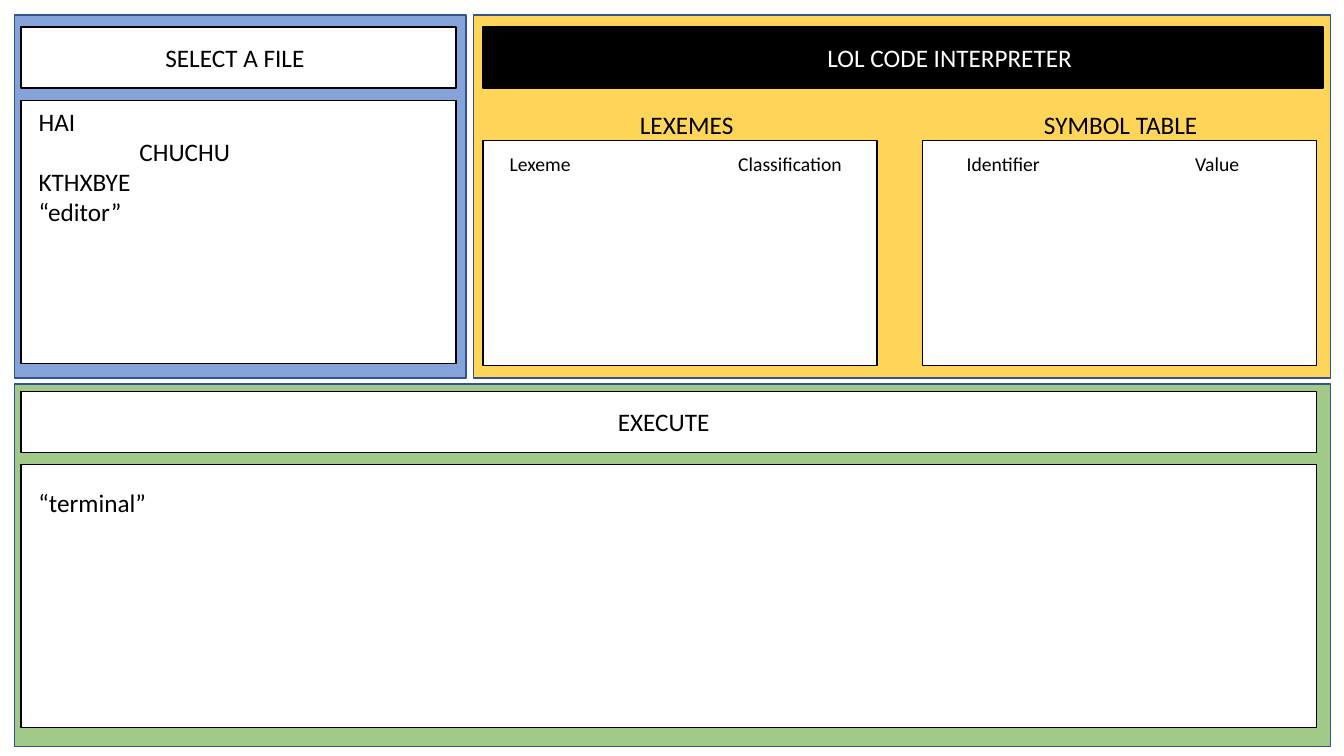
from lxml import etree
from pptx import Presentation
from pptx import util as u
from pptx.dml.color import RGBColor
from pptx.enum import shapes, text
from pptx.oxml import ns

BLACK = RGBColor(0x00, 0x00, 0x00)
WHITE = RGBColor(0xFF, 0xFF, 0xFF)
BLUE = RGBColor(0x44, 0x72, 0xC4)
GOLD = RGBColor(0xFF, 0xC0, 0x00)
GREEN = RGBColor(0x70, 0xAD, 0x47)
NAVY = RGBColor(0x32, 0x54, 0x91)


class Mockup:
    """Holds the slide, its grid of 160 columns by 90 rows and the text style."""

    font = "Calibri"
    columns, rows = 160, 90

    def __init__(self, deck):
        """Add a title-and-content slide to the deck."""
        self.slide = deck.slides.add_slide(deck.slide_layouts[1])
        self.column = deck.slide_width / self.columns
        self.row = deck.slide_height / self.rows

    def area(self, left, top, width, height):
        """Turn grid columns and rows into slide lengths."""
        return [u.Emu(round(count * unit)) for count, unit in
                zip((left, top, width, height), (self.column, self.row) * 2)]

    def box(self, place, fill=WHITE, line=BLACK, opacity=100):
        """Draw an outlined rectangle, see-through below 100 percent opacity."""
        rect = self.slide.shapes.add_shape(
            shapes.MSO_SHAPE.RECTANGLE, *self.area(*place))
        rect.shadow.inherit = False
        rect.fill.solid()
        rect.fill.fore_color.rgb = fill
        rect.line.color.rgb = line
        rect.line.width = u.Pt(1)
        if opacity < 100:
            color = rect._element.spPr.find(
                ns.qn("a:solidFill") + "/" + ns.qn("a:srgbClr"))
            etree.SubElement(color, ns.qn("a:alpha"), val=str(opacity * 1000))

    def set_words(self, holder, words, size=18, color=BLACK,
                  align=text.PP_ALIGN.LEFT):
        """Fill a text holder and give it the common style."""
        frame = holder.text_frame
        frame.text = words
        frame.word_wrap = True
        frame.auto_size = text.MSO_AUTO_SIZE.NONE
        frame.vertical_anchor = text.MSO_ANCHOR.TOP
        for paragraph in frame.paragraphs:
            paragraph.alignment = align
            paragraph.space_before = u.Pt(0)
            for run in paragraph.runs:
                run.font.name = self.font
                run.font.size = u.Pt(size)
                run.font.color.rgb = color

    def label(self, place, words, **style):
        """Add a free text label."""
        self.set_words(self.slide.shapes.add_textbox(*self.area(*place)),
                       words, **style)

    def heading(self, place, words, **style):
        """Put the title placeholder on top of what is drawn so far."""
        self.fill_placeholder(self.slide.shapes.title, place, words, **style)

    def listing(self, place, lines, indents):
        """Put plain code lines in the body placeholder, indented in inches."""
        body = self.slide.placeholders[1]
        self.fill_placeholder(body, place, "\n".join(lines))
        for paragraph, indent in zip(body.text_frame.paragraphs, indents):
            properties = paragraph._p.get_or_add_pPr()
            properties.set("marL", str(u.Inches(indent)))
            properties.set("indent", "0")
            etree.SubElement(properties, ns.qn("a:buNone"))

    def fill_placeholder(self, holder, place, words, **style):
        """Move a placeholder to its place and to the front, then fill it."""
        holder.left, holder.top, holder.width, holder.height = self.area(*place)
        self.slide.shapes._spTree.append(holder._element)
        self.set_words(holder, words, **style)


def main():
    """Build the interpreter window and save it."""
    deck = Presentation()
    deck.slide_width, deck.slide_height = u.Inches(13.33), u.Inches(7.5)
    window = Mockup(deck)

    panel_height, bar_height, label_height = 43.2, 7.3, 4.8
    inner_left, inner_width, label_width = 2.5, 154.2, 39

    for left, top, width, fill in ((1.7, 45.7, 156.7, GREEN),
                                   (56.4, 1.8, 102, GOLD),
                                   (1.7, 1.8, 53.8, BLUE)):
        window.box((left, top, width, panel_height), fill, NAVY, opacity=65)

    # File panel
    window.box((inner_left, 3.2, 51.8, bar_height))
    window.label((18.5, 4.4, label_width, label_height), "SELECT A FILE")
    window.box((inner_left, 12, 51.8, 31.3))
    window.listing((3.4, 12, label_width, 15.7),
                   ("HAI", "CHUCHU", "KTHXBYE", "“editor”"), (0, 1, 0, 0))

    # Interpreter panel
    window.box((57.5, 3.2, 100, bar_height), BLACK)
    window.heading((97.3, 4.4, label_width, label_height),
                   "LOL CODE INTERPRETER", color=WHITE)
    for left, label_left, name in ((57.5, 75, "LEXEMES"),
                                   (109.8, 123.1, "SYMBOL TABLE")):
        window.label((label_left, 12.4, label_width, label_height), name)
        window.box((left, 16.7, 46.9, 26.8))
    fields = ("Lexeme", "Classification", "Identifier", "Value")
    for index, field in enumerate(fields):
        window.label((59.5 + 27.2 * index, 17.5, 15.5, 4), field, size=14)

    # Terminal panel
    window.box((inner_left, 46.6, inner_width, bar_height))
    window.label((57.5, 47.8, 43, label_height), "EXECUTE",
                 align=text.PP_ALIGN.CENTER)
    window.box((inner_left, 55.3, inner_width, 31.3))
    window.label((3.4, 57.4, label_width, label_height), "“terminal”")

    deck.save("out.pptx")


main()
